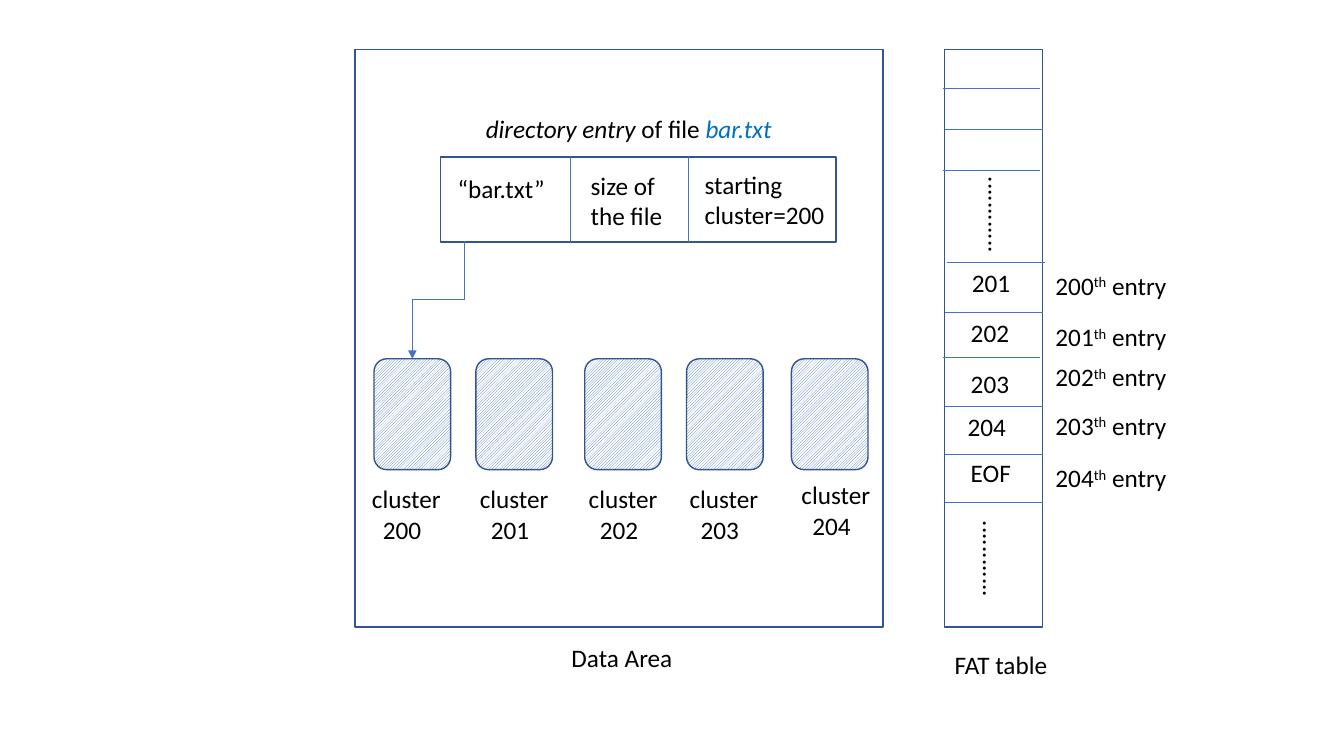
from pptx import Presentation
from pptx.dml.color import RGBColor
from pptx.enum.dml import MSO_PATTERN_TYPE as Pattern
from pptx.enum.shapes import MSO_CONNECTOR as Link, MSO_SHAPE as Shape
from pptx.oxml.ns import qn
from pptx.util import Inches, Pt
from lxml.etree import SubElement

NAVY = RGBColor(0x32, 0x54, 0x91)
BLUE = RGBColor(0x44, 0x72, 0xC4)
SKY = RGBColor(0x00, 0x70, 0xC0)
BLACK = RGBColor(0, 0, 0)
WHITE = RGBColor(255, 255, 255)


def add_text(slide, lines, x, y, w, h=0.4, turn=0, indent=0):
    """Write lines of (text, format) runs; indent applies after the first line."""
    box = slide.shapes.add_textbox(Inches(x), Inches(y), Inches(w), Inches(h))
    box.rotation = turn
    frame = box.text_frame
    frame.word_wrap = True
    for row, line in enumerate(lines):
        para = frame.add_paragraph() if row else frame.paragraphs[0]
        if row and indent:
            para._p.get_or_add_pPr().set("marL", str(Inches(indent)))
        for text, style in [(line, {})] if isinstance(line, str) else line:
            run = para.add_run()
            run.text = text
            run.font.name, run.font.size = "Calibri", Pt(18)
            run.font.italic = style.get("italic", False)
            run.font.color.rgb = style.get("color", BLACK)
            if "raised" in style:
                run._r.get_or_add_rPr().set("baseline", str(style["raised"] * 1000))
    return box


def add_box(slide, kind, x, y, w, h, hatch=False):
    """Draw an outlined shape, empty or hatched."""
    shape = slide.shapes.add_shape(kind, Inches(x), Inches(y), Inches(w), Inches(h))
    shape.shadow.inherit = False
    shape.line.color.rgb, shape.line.width = NAVY, Pt(1)
    if hatch:
        shape.fill.patterned()
        shape.fill.pattern = Pattern.LIGHT_UPWARD_DIAGONAL
        shape.fill.fore_color.rgb, shape.fill.back_color.rgb = BLUE, WHITE
    else:
        shape.fill.background()


def add_line(slide, x1, y1, x2, y2, kind=Link.STRAIGHT):
    """Draw a thin blue connector without a shadow."""
    line = slide.shapes.add_connector(kind, *map(Inches, (x1, y1, x2, y2)))
    line.line.color.rgb, line.line.width = BLUE, Pt(0.5)
    SubElement(line._element.spPr, qn("a:effectLst"))
    return line


def add_arrow(slide, x1, y1, x2, y2):
    """Draw an elbow arrow that leaves and arrives vertically."""
    midx, midy = (x1 + x2) / 2, (y1 + y2) / 2
    dx, dy = (y2 - y1) / 2, (x1 - x2) / 2
    arrow = add_line(slide, midx - dx, midy - dy, midx + dx, midy + dy, Link.ELBOW)
    arrow._element.spPr.find(qn("a:xfrm")).set("rot", str(90 * 60000))
    SubElement(arrow.line._get_or_add_ln(), qn("a:tailEnd"), type="triangle")


def add_entry(slide, x, y, w, h):
    """Draw the directory entry with its heading and three fields."""
    heading = [("directory entry", {"italic": True}), (" of file ", {}),
               ("bar.txt", {"italic": True, "color": SKY})]
    add_text(slide, [heading], x + 0.35, y - 0.48, 3.2)
    add_box(slide, Shape.RECTANGLE, x, y, w, h)
    for split in (1.29, 2.46):
        add_line(slide, x + split, y, x + split, y + h)
    add_text(slide, ["“bar.txt”"], x + 0.07, y + 0.11, 1.15)
    add_text(slide, ["size of", "the file"], x + 1.39, y + 0.08, 1, 0.71)
    add_text(slide, ["starting", "cluster=200"], x + 2.52, y + 0.07, 1.5, 0.71)


def add_data(slide, x, y, w, h):
    """Draw the data area with its directory entry and clusters."""
    add_box(slide, Shape.RECTANGLE, x, y, w, h)
    add_entry(slide, x + 0.85, y + 1.07, 3.92, 0.84)
    clusters = [(0.19, 0.07, 4.26), (1.2, 1.14, 4.26), (2.28, 2.22, 4.26),
                (3.29, 3.22, 4.26), (4.33, 4.33, 4.22)]
    for number, (left, label, top) in enumerate(clusters, 200):
        add_box(slide, Shape.ROUNDED_RECTANGLE, x + left, y + 3.07, 0.76, 1.1, hatch=True)
        add_text(slide, ["cluster", str(number)], x + label, y + top, 0.95, 0.71, indent=0.11)
    add_arrow(slide, x + 1.09, y + 1.9, x + 0.57, y + 3.07)
    add_text(slide, ["Data Area"], x + 2.05, y + h + 0.1, 1.3)


def add_fat(slide, x, y, w, h):
    """Draw the FAT table with its rows, values and entry labels."""
    add_box(slide, Shape.RECTANGLE, x, y, w, h)
    rules = [(-0.02, 0.39), (0, 0.79), (-0.02, 1.2), (0.02, 2.11), (0, 2.61),
             (-0.02, 3.06), (0, 3.54), (0, 4.02), (0, 4.49)]
    for shift, top in rules:
        add_line(slide, x + shift, y + top, x + shift + w, y + top)
    rows = [("201", 0.17, 2.11, 2.14), ("202", 0.16, 2.61, 2.65), ("203", 0.16, 3.11, 3.05),
            ("204", 0.13, 3.54, 3.53), ("EOF", 0.16, 4, 4.05)]
    for number, (value, left, top, label) in enumerate(rows, 200):
        add_text(slide, [value], x + left, y + top, 0.8)
        name = [(str(number), {}), ("th", {"raised": 30}), (" entry", {})]
        add_text(slide, [name], x + 1, y + label, 1.45)
    for left, top, wide in ((0.03, 1.47, 1.01), (0, 4.86, 0.96)):
        add_text(slide, ["." * 12], x + left, y + top, wide, turn=90)
    add_text(slide, ["FAT table"], x, y + h + 0.17, 1.25)


def main():
    """Build and save the slide."""
    deck = Presentation()
    deck.slide_width, deck.slide_height = Inches(13.33), Inches(7.5)
    slide = deck.slides.add_slide(deck.slide_layouts[6])
    add_data(slide, 3.52, 0.49, 5.24, 5.73)
    add_fat(slide, 9.37, 0.49, 0.97, 5.73)
    deck.save("out.pptx")


main()
